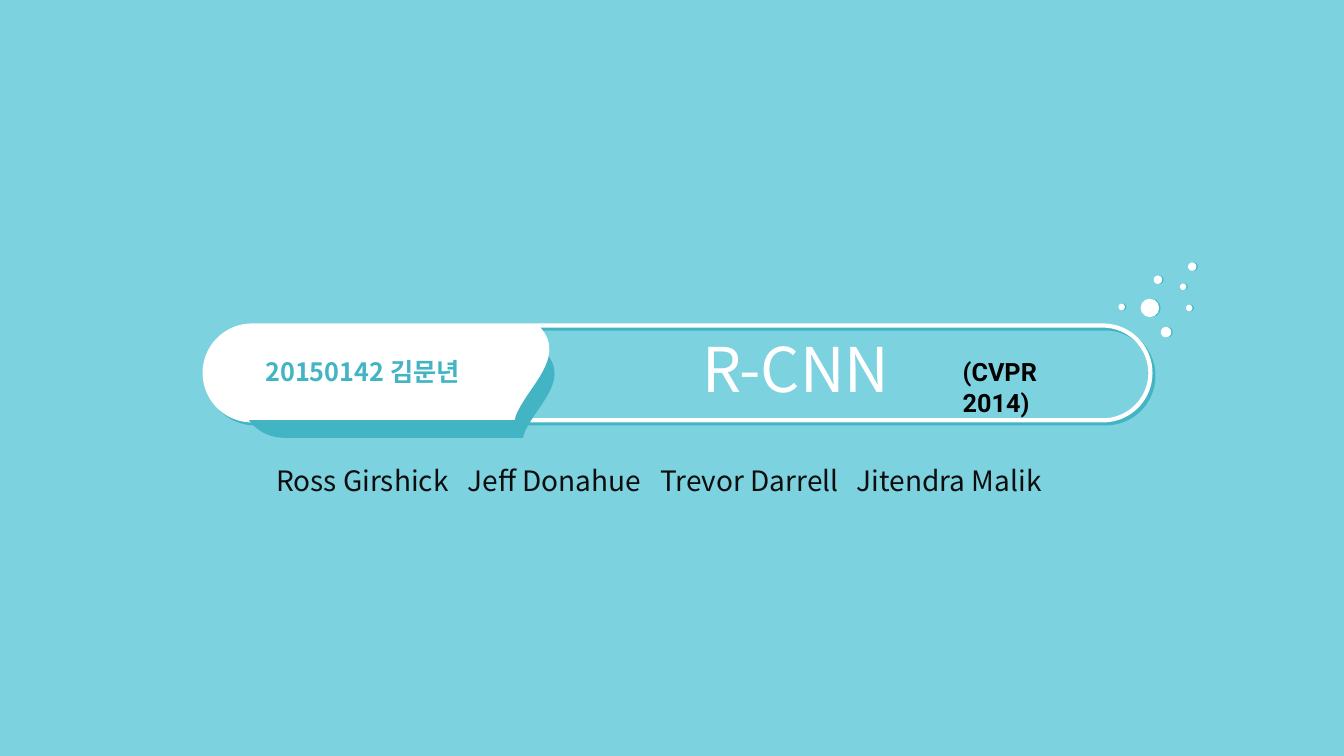
import pptx
import pptx.util
import pptx.dml.color
import pptx.enum.shapes
import pptx.enum.text
import pptx.oxml
import pptx.oxml.ns

WHITE, SKY, TEAL = "FFFFFF", "7CD2DF", "43B4C4"
BLACK, INK = "000000", "0D0D0D"
KOREAN, LATIN = "Noto Sans CJK KR", "Roboto"
NS = pptx.oxml.ns.nsdecls("a")
ALIGN = pptx.enum.text.PP_ALIGN
SHAPE = pptx.enum.shapes.MSO_SHAPE
SLIDE_W, SLIDE_H = 13.33, 7.5


def color(value):
    return pptx.dml.color.RGBColor.from_string(value)


def inches(*values):
    return [pptx.util.Inches(v) for v in values]


def paint(shape, fill=None, line=None, width=1, shadow=None, scale=100):
    shape.shadow.inherit = False
    if fill:
        shape.fill.solid()
        shape.fill.fore_color.rgb = color(fill)
    else:
        shape.fill.background()
    shape.line.color.rgb = color(line)
    shape.line.width = pptx.util.Pt(width)
    distance, angle = shadow
    size = f'sx="{scale * 1000}" sy="{scale * 1000}"' if scale != 100 else ""
    effects = shape._element.spPr.find(pptx.oxml.ns.qn("a:effectLst"))
    effects.append(pptx.oxml.parse_xml(
        f'<a:outerShdw {NS} blurRad="0" dist="{pptx.util.Pt(distance)}" '
        f'dir="{angle * 60000}" {size} algn="tl" rotWithShape="0">'
        f'<a:srgbClr val="{TEAL}"/></a:outerShdw>'))


def write(shape, box, text, size, rgb, font=KOREAN, bold=False,
          align=ALIGN.LEFT, wrap=True, tabs=()):
    shape.left, shape.top, shape.width, shape.height = inches(*box)
    tf = shape.text_frame
    margins = inches(0.1, 0.05, 0.1, 0.05)
    frame = {"word_wrap": wrap, "auto_size": pptx.enum.text.MSO_AUTO_SIZE.NONE,
             "vertical_anchor": pptx.enum.text.MSO_ANCHOR.TOP}
    frame.update(zip(("margin_left", "margin_top", "margin_right", "margin_bottom"), margins))
    for name, value in frame.items():
        setattr(tf, name, value)
    p = tf.paragraphs[0]
    p.alignment = align
    if tabs:
        stops = "".join(f'<a:tab pos="{pptx.util.Inches(t)}" algn="l"/>' for t in tabs)
        p._p.get_or_add_pPr().append(
            pptx.oxml.parse_xml(f"<a:tabLst {NS}>{stops}</a:tabLst>"))
    r = p.add_run()
    r.text = text
    for name, value in {"size": pptx.util.Pt(size), "bold": bold, "name": font}.items():
        setattr(r.font, name, value)
    r.font.color.rgb = color(rgb)
    r._r.get_or_add_rPr().find(pptx.oxml.ns.qn("a:latin")).addnext(
        pptx.oxml.parse_xml(f'<a:ea {NS} typeface="{font}"/>'))


def add_tab(s, x, y):
    corners = [(0.47, 0), (3.3, 0), (3.33, 0.03), (3.08, 0.89), (3.07, 0.93),
               (0.47, 0.93), (0, 0.46), (0.47, 0)]
    curves = {3: [(3.58, 0.32), (3.19, 0.61)], 6: [(0.21, 0.93), (0, 0.72)],
              7: [(0, 0.21), (0.21, 0)]}
    points = [inches(x + px, y + py) for px, py in corners]
    builder = s.shapes.build_freeform(*points[0])
    builder.add_line_segments(points[1:], close=True)
    tab = builder.convert_to_shape()
    segments = list(tab._element.iter(pptx.oxml.ns.qn("a:lnTo")))
    for index, controls in curves.items():
        segment = segments[index - 1]
        segment.tag = pptx.oxml.ns.qn("a:cubicBezTo")
        for i, (cx, cy) in enumerate(controls):
            px, py = inches(cx, cy)
            segment.insert(i, pptx.oxml.parse_xml(f'<a:pt {NS} x="{px}" y="{py}"/>'))
    paint(tab, WHITE, WHITE, shadow=(32, 36), scale=91)


def add_search_bar(s, x, y, w, h):
    bar = s.shapes.add_shape(SHAPE.ROUNDED_RECTANGLE, *inches(x, y, w, h))
    bar.adjustments[0] = 0.5
    paint(bar, line=WHITE, width=3, shadow=(3, 45))
    write(s.shapes.title, (x + 3.2, y, 5.33, 0.84), "R-CNN", 44, WHITE, align=ALIGN.CENTER)
    add_tab(s, x, y)
    label_y = y + 0.26
    write(s.shapes.add_textbox(0, 0, 0, 0), (x + 0.46, label_y, 2.21, 0.4),
          "20150142 김문년", 18, TEAL, bold=True, align=ALIGN.CENTER, wrap=False)
    write(s.shapes.add_textbox(0, 0, 0, 0), (x + 7.42, label_y, 1.55, 0.4),
          "(CVPR 2014)", 18, BLACK, LATIN, bold=True)


def add_bubbles(s, x, y):
    bubbles = [(0.22, 0.36, 0.17), (0.69, 0, 0.07), (0.67, 0.42, 0.05), (0.61, 0.21, 0.05),
               (0.42, 0.64, 0.09), (0, 0.41, 0.05), (0.35, 0.13, 0.07)]
    for dx, dy, size in bubbles:
        bubble = s.shapes.add_shape(SHAPE.OVAL, *inches(x + dx, y + dy, size, size))
        paint(bubble, WHITE, WHITE, shadow=(1, 0))


def add_authors(s, x, y, w, h):
    names = ["Ross Girshick", "Jeff Donahue", "Trevor Darrell", "Jitendra Malik"]
    write(s.shapes.add_textbox(0, 0, 0, 0), (x, y, w, h), "\t".join(names), 20, INK,
          tabs=(1.9, 3.81, 5.76))


def main():
    prs = pptx.Presentation()
    prs.slide_width, prs.slide_height = inches(SLIDE_W, SLIDE_H)
    s = prs.slides.add_slide(prs.slide_layouts[5])
    s.background.fill.solid()
    s.background.fill.fore_color.rgb = color(SKY)
    add_search_bar(s, 2.03, 3.23, 9.38, 0.94)
    add_bubbles(s, 11.1, 2.61)
    add_authors(s, 2.64, 4.55, 7.91, 0.44)
    prs.save("out.pptx")


if __name__ == "__main__":
    main()
